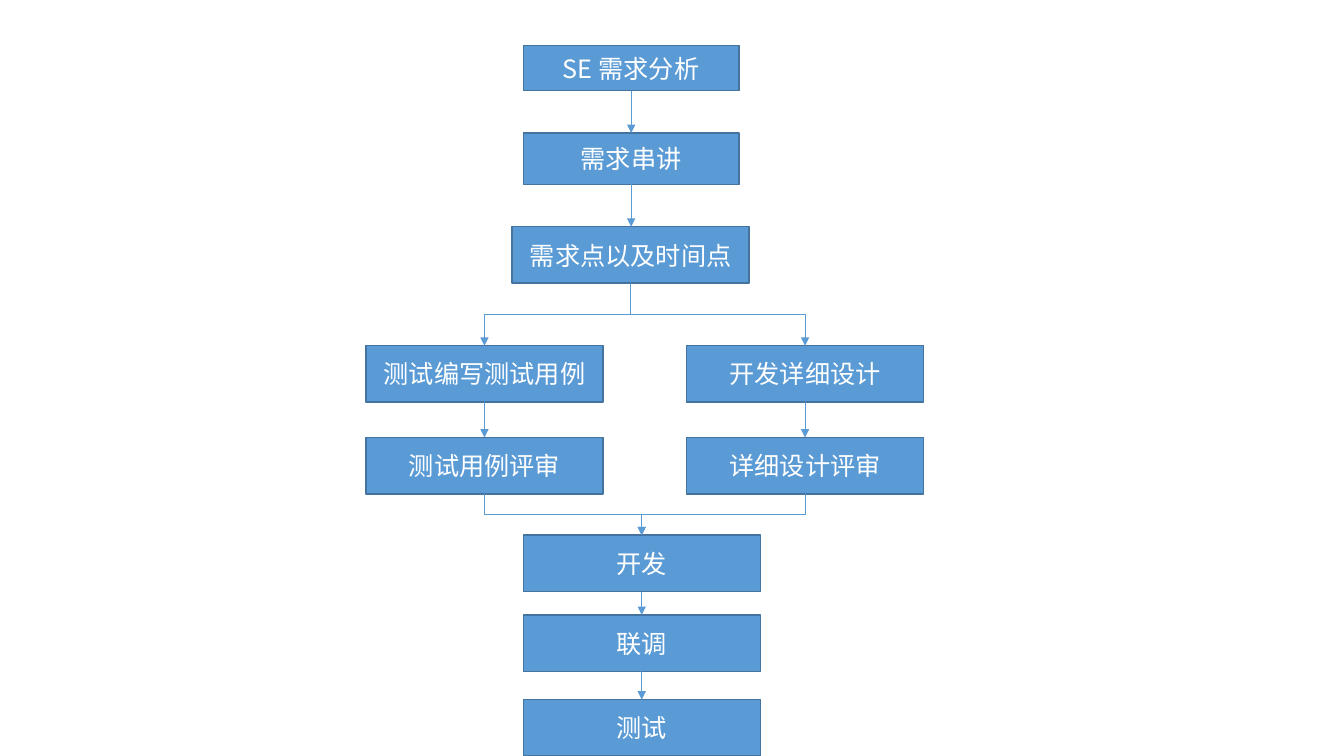
import dataclasses

import lxml.etree
import pptx
import pptx.dml.color
import pptx.enum.shapes
import pptx.enum.text
import pptx.oxml.ns
import pptx.util

Inches = pptx.util.Inches
Pt = pptx.util.Pt
qn = pptx.oxml.ns.qn

BOTTOM_SITE = 2
TOP_SITE = 0


@dataclasses.dataclass(frozen=True)
class Theme:
    box_fill: str = "5B9BD5"
    box_border: str = "43739E"
    arrow: str = "5B9BD5"
    text: str = "FFFFFF"
    font: str = "Noto Sans CJK SC"
    text_size: float = 18
    border_width: float = 1
    arrow_width: float = 0.5


@dataclasses.dataclass(frozen=True)
class Step:
    text: str
    left: float
    top: float
    width: float = 2.35
    height: float = 0.56


THEME = Theme()
MAIN_LEFT = 5.19
TEST_LEFT = 3.63
DESIGN_LEFT = 6.81

STEPS = {
    "analysis": Step("SE 需求分析", MAIN_LEFT, 0.45, 2.14, 0.45),
    "briefing": Step("需求串讲", MAIN_LEFT, 1.32, 2.14, 0.51),
    "schedule": Step("需求点以及时间点", 5.08, 2.25),
    "test_cases": Step("测试编写测试用例", TEST_LEFT, 3.43),
    "design": Step("开发详细设计", DESIGN_LEFT, 3.43),
    "test_review": Step("测试用例评审", TEST_LEFT, 4.34),
    "design_review": Step("详细设计评审", DESIGN_LEFT, 4.34),
    "development": Step("开发", MAIN_LEFT, 5.31),
    "integration": Step("联调", MAIN_LEFT, 6.1),
    "testing": Step("测试", MAIN_LEFT, 6.94),
}

STRAIGHT_FLOWS = [
    ("analysis", "briefing"),
    ("briefing", "schedule"),
    ("test_cases", "test_review"),
    ("design", "design_review"),
    ("development", "integration"),
    ("integration", "testing"),
]

BRANCH_FLOWS = [
    ("schedule", "test_cases"),
    ("schedule", "design"),
    ("test_review", "development"),
    ("design_review", "development"),
]


def color(value: str) -> pptx.dml.color.RGBColor:
    return pptx.dml.color.RGBColor.from_string(value)


def write_text(shape, text: str, *, size: float, font: str, fill: str) -> None:
    frame = shape.text_frame
    frame.word_wrap = True
    frame.vertical_anchor = pptx.enum.text.MSO_ANCHOR.MIDDLE
    paragraph = frame.paragraphs[0]
    paragraph.alignment = pptx.enum.text.PP_ALIGN.CENTER
    run = paragraph.add_run()
    run.text = text
    run.font.size = Pt(size)
    run.font.name = font
    run.font.color.rgb = color(fill)
    east_asian = lxml.etree.SubElement(run.font._element, qn("a:ea"))
    east_asian.set("typeface", font)


def draw_step(slide, step: Step):
    shape = slide.shapes.add_shape(
        pptx.enum.shapes.MSO_SHAPE.RECTANGLE,
        Inches(step.left), Inches(step.top), Inches(step.width), Inches(step.height),
    )
    shape.shadow.inherit = False
    shape.fill.solid()
    shape.fill.fore_color.rgb = color(THEME.box_fill)
    shape.line.color.rgb = color(THEME.box_border)
    shape.line.width = Pt(THEME.border_width)
    write_text(shape, step.text, size=THEME.text_size, font=THEME.font, fill=THEME.text)
    return shape


def draw_arrow(slide, source, target, kind):
    connector = slide.shapes.add_connector(kind, 0, 0, 0, 0)
    connector.begin_connect(source, BOTTOM_SITE)
    connector.end_connect(target, TOP_SITE)
    connector.line.color.rgb = color(THEME.arrow)
    connector.line.width = Pt(THEME.arrow_width)
    properties = connector._element.spPr
    tail = lxml.etree.SubElement(properties.find(qn("a:ln")), qn("a:tailEnd"))
    tail.set("type", "triangle")
    lxml.etree.SubElement(properties, qn("a:effectLst"))
    return connector


def draw_straight(slide, source, target) -> None:
    connector = draw_arrow(slide, source, target, pptx.enum.shapes.MSO_CONNECTOR.STRAIGHT)
    connector.end_x = connector.begin_x


def draw_branch(slide, source, target) -> None:
    connector = draw_arrow(slide, source, target, pptx.enum.shapes.MSO_CONNECTOR.ELBOW)
    start_x, start_y = connector.begin_x, connector.begin_y
    end_x, end_y = connector.end_x, connector.end_y
    drop, reach = end_y - start_y, abs(end_x - start_x)
    connector.left = (start_x + end_x - drop) // 2
    connector.top = (start_y + end_y - reach) // 2
    connector.width, connector.height = drop, reach
    goes_right = end_x > start_x
    transform = connector._element.spPr.find(qn("a:xfrm"))
    transform.set("rot", str((270 if goes_right else 90) * 60000))
    transform.set("flipH", "1" if goes_right else "0")


def main() -> None:
    presentation = pptx.Presentation()
    presentation.slide_width = Inches(13.33)
    presentation.slide_height = Inches(7.5)
    slide = presentation.slides.add_slide(presentation.slide_layouts[6])
    boxes = {name: draw_step(slide, step) for name, step in STEPS.items()}
    for source, target in STRAIGHT_FLOWS:
        draw_straight(slide, boxes[source], boxes[target])
    for source, target in BRANCH_FLOWS:
        draw_branch(slide, boxes[source], boxes[target])
    presentation.save("out.pptx")


main()
